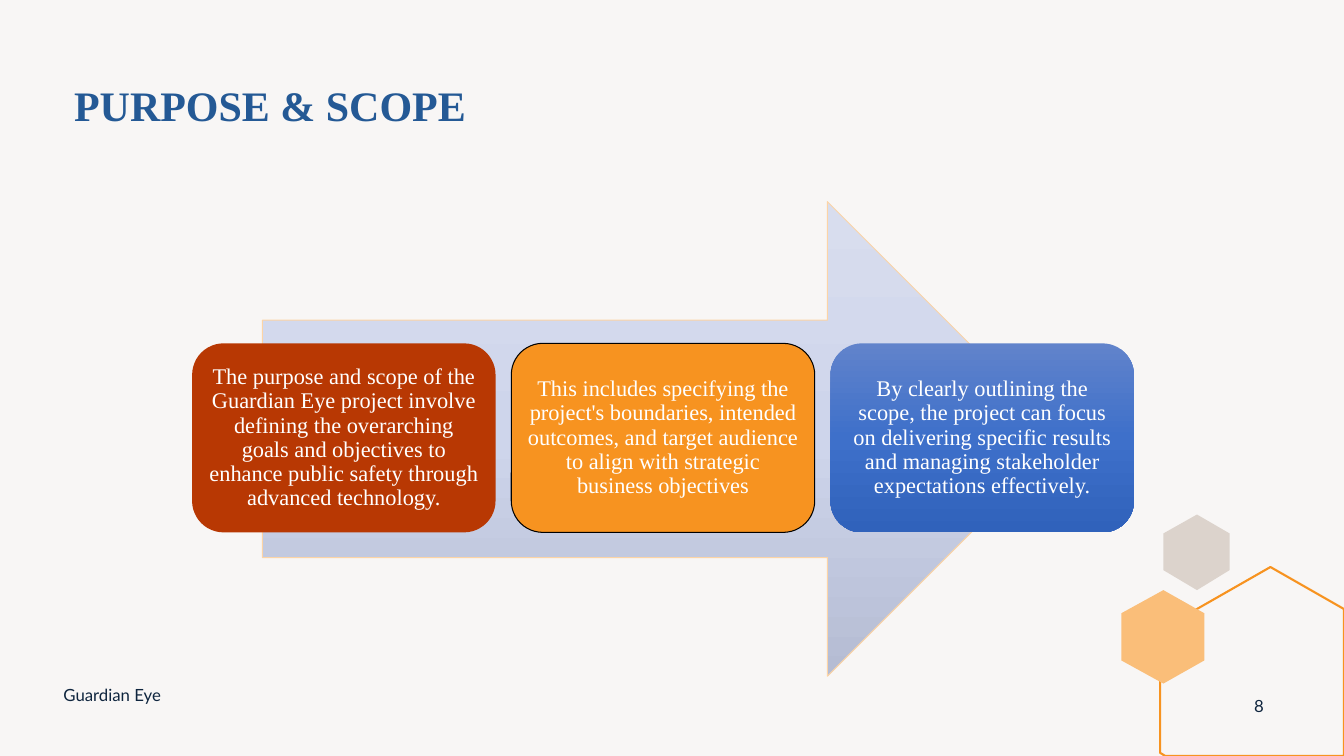
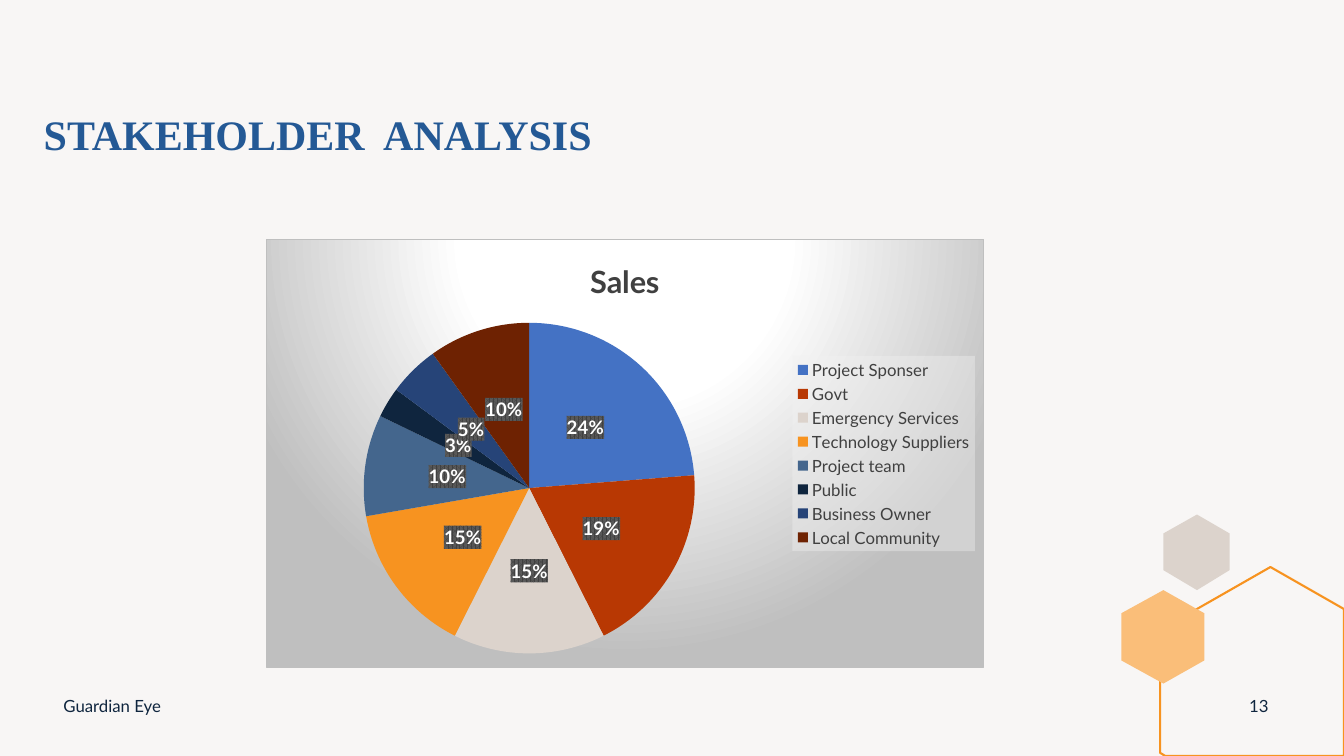
from pptx import Presentation
from pptx.chart.data import CategoryChartData
from pptx.dml.color import RGBColor
from pptx.enum.chart import XL_CHART_TYPE, XL_LABEL_POSITION, XL_LEGEND_POSITION
from pptx.enum.shapes import MSO_SHAPE as SHAPE
from pptx.enum.text import MSO_ANCHOR as ANCHOR, MSO_AUTO_SIZE as AUTO_SIZE, PP_ALIGN as ALIGN
from pptx.oxml import parse_xml
from pptx.oxml.ns import nsdecls, qn
from pptx.util import Pt

PX = 9525  # EMU in one px, 96 px to the inch
rgb = RGBColor.from_string

BACKGROUND, SAND, ORANGE, PALE_ORANGE = "F8F6F5", "DCD3CC", "F79320", "FABE79"
RUST, NAVY, TITLE_BLUE, WHITE = "B83803", "0F253E", "245995", "FFFFFF"
DARK_GREY, SILVER = "404040", "BFBFBF"

TITLE_FONT = {"name": "Times New Roman", "size": Pt(30), "bold": True, "colour": TITLE_BLUE}
FOOTER_FONT = {"name": "Lato", "size": Pt(12), "colour": NAVY}
BOX_FONT = {"name": "Times New Roman", "size": Pt(16), "colour": WHITE}
LEGEND_FONT = {"name": "Lato", "size": Pt(12), "colour": DARK_GREY}
CHART_TITLE_FONT = {"name": "Lato", "size": Pt(22), "bold": True, "colour": DARK_GREY}
LABEL_FONT = {"name": "Lato", "size": Pt(13.3), "bold": True, "colour": WHITE}


def set_values(target, values):
    """Set each attribute; 'colour' is the hex colour of a font."""
    for name, value in values.items():
        if name == "colour":
            target.color.rgb = rgb(value)
        else:
            setattr(target, name, value)


def gradient_xml(stops, direction):
    stop_xml = "".join(f'<a:gs pos="{position * 1000}"><a:srgbClr val="{colour}"/></a:gs>'
                       for position, colour in stops)
    return f'<a:gradFill {nsdecls("a")}><a:gsLst>{stop_xml}</a:gsLst>{direction}</a:gradFill>'


presentation = Presentation()
presentation.slide_width, presentation.slide_height = 1280 * PX, 720 * PX
background = presentation.slide_master.background.fill
background.solid()
background.fore_color.rgb = rgb(BACKGROUND)

# Shared corner outlines: points, fill, line
HEXAGONS = [
    ([(1140, 490), (1171, 508), (1171, 543), (1140, 562), (1108, 543), (1108, 508)], SAND, None),
    ([(1210, 540), (1280, 580), (1280, 720), (1110, 720), (1105, 717), (1105, 600)], None, ORANGE),
    ([(1108, 562), (1147, 584), (1147, 629), (1108, 651), (1068, 629), (1068, 584)], PALE_ORANGE, None),
]
# Title, title box, line spacing, footer top, page number
SLIDES = [
    ("PURPOSE & SCOPE", (61, 76, 1143, 149), 0.9, 643, "8"),
    ("STAKEHOLDER  ANALYSIS", (32, 99, 700, 58), 1.0, 653, "13"),
]

for title_text, title_box, line_spacing, footer_top, page_number in SLIDES:
    slide = presentation.slides.add_slide(presentation.slide_layouts[5])

    # Corner hexagons
    for points, fill_colour, line_colour in HEXAGONS:
        builder = slide.shapes.build_freeform(*points[0], scale=PX)
        builder.add_line_segments(points[1:], close=True)
        hexagon = builder.convert_to_shape()
        hexagon.shadow.inherit = False
        if fill_colour:
            hexagon.fill.solid()
            hexagon.fill.fore_color.rgb = rgb(fill_colour)
            hexagon.line.fill.background()
        else:
            hexagon.fill.background()
            hexagon.line.color.rgb = rgb(line_colour)
            hexagon.line.width = Pt(1.5)

    # Title
    title = slide.shapes.title
    title.left, title.top, title.width, title.height = [length * PX for length in title_box]
    title.text_frame.text = title_text
    set_values(title.text_frame, {"vertical_anchor": ANCHOR.TOP, "auto_size": AUTO_SIZE.NONE,
                                  "word_wrap": True})
    paragraph = title.text_frame.paragraphs[0]
    set_values(paragraph, {"alignment": ALIGN.LEFT, "line_spacing": line_spacing})
    set_values(paragraph.runs[0].font, TITLE_FONT)

    # Footer and page number
    for text, left, top, width, alignment in [
        ("Guardian Eye", 51, footer_top, 432, ALIGN.LEFT),
        (page_number, 1175, 653, 48, ALIGN.CENTER),
    ]:
        footer = slide.shapes.add_textbox(left * PX, top * PX, width * PX, 38 * PX)
        set_values(footer.text_frame, {"text": text, "word_wrap": True,
                                       "vertical_anchor": ANCHOR.MIDDLE})
        paragraph = footer.text_frame.paragraphs[0]
        paragraph.alignment = alignment
        set_values(paragraph.runs[0].font, FOOTER_FONT)

scope_slide, stakeholder_slide = presentation.slides

# Arrow behind three boxes: preset, box, fill or gradient stops, line, text
BOX_TEXTS = [
    "The purpose and scope of the Guardian Eye project involve defining the overarching goals "
    "and objectives to enhance public safety through advanced technology.",
    "This includes specifying the project's boundaries, intended outcomes, and target audience "
    "to align with strategic business objectives",
    "By clearly outlining the scope, the project can focus on delivering specific results and "
    "managing stakeholder expectations effectively.",
]
ARROW_STOPS = [(0, "D8DDEE"), (50, "CED5EB"), (100, "B5BCD3")]
BLUE_STOPS = [(0, "6183CB"), (50, "3E70CA"), (100, "3062BB")]
BOX_STYLES = [(RUST, None), (ORANGE, "000000"), (BLUE_STOPS, None)]
diagram = [(SHAPE.RIGHT_ARROW, (250, 192, 764, 452), ARROW_STOPS, "FCD4A6", None)]
for index, (text, (fill, line_colour)) in enumerate(zip(BOX_TEXTS, BOX_STYLES)):
    diagram.append((SHAPE.ROUNDED_RECTANGLE, (183 + 304 * index, 327, 289, 180),
                    fill, line_colour, text))

for preset, box, fill, line_colour, text in diagram:
    shape = scope_slide.shapes.add_shape(preset, *[length * PX for length in box])
    shape.shadow.inherit = False
    if isinstance(fill, str):
        shape.fill.solid()
        shape.fill.fore_color.rgb = rgb(fill)
    else:
        geometry = shape._element.spPr.find(qn("a:prstGeom"))
        geometry.addnext(parse_xml(gradient_xml(fill, '<a:lin ang="5400000" scaled="0"/>')))
    if line_colour:
        shape.line.color.rgb = rgb(line_colour)
        shape.line.width = Pt(0.75)
    else:
        shape.line.fill.background()
    if text:
        frame = shape.text_frame
        set_values(frame, {"text": text, "word_wrap": True, "vertical_anchor": ANCHOR.MIDDLE})
        set_values(frame, {f"margin_{side}": 7 * PX for side in ("left", "top", "right", "bottom")})
        paragraph = frame.paragraphs[0]
        set_values(paragraph, {"alignment": ALIGN.CENTER, "line_spacing": 0.9})
        set_values(paragraph.runs[0].font, BOX_FONT)

# Stakeholder pie chart
STAKEHOLDERS = [
    ("Project Sponser", 24, "4472C4"),
    ("Govt", 19, RUST),
    ("Emergency Services", 15, SAND),
    ("Technology Suppliers", 15, ORANGE),
    ("Project team", 10, "44668D"),
    ("Public", 3, NAVY),
    ("Business Owner", 5, "264478"),
    ("Local Community", 10, "6E2202"),
]
chart_data = CategoryChartData()
chart_data.categories = [name for name, value, colour in STAKEHOLDERS]
chart_data.add_series("Sales", [value for name, value, colour in STAKEHOLDERS])
chart = stakeholder_slide.shapes.add_chart(
    XL_CHART_TYPE.PIE, 253 * PX, 228 * PX, 684 * PX, 408 * PX, chart_data).chart
set_values(chart.font, {"name": "Lato", "size": Pt(10), "colour": "000000"})

chart.has_title = True
chart.chart_title.text_frame.text = "Sales"
set_values(chart.chart_title.text_frame.paragraphs[0].runs[0].font, CHART_TITLE_FONT)

chart.has_legend = True
set_values(chart.legend, {"position": XL_LEGEND_POSITION.RIGHT, "include_in_layout": False})
set_values(chart.legend.font, LEGEND_FONT)

plot = chart.plots[0]
plot.vary_by_categories = True
for index, (name, value, colour) in enumerate(STAKEHOLDERS):
    point_fill = plot.series[0].points[index].format.fill
    point_fill.solid()
    point_fill.fore_color.rgb = rgb(colour)

labels = plot.series[0].data_labels
set_values(labels, {"show_percentage": True, "show_value": False, "number_format": "0%",
                    "number_format_is_linked": False, "position": XL_LABEL_POSITION.CENTER})
set_values(labels.font, LABEL_FONT)

# Backgrounds of chart, legend and labels, each placed before the text properties
chart_fill = gradient_xml(
    [(0, WHITE), (39, WHITE), (100, SILVER)],
    '<a:path path="circle"><a:fillToRect l="50000" t="-80000" r="50000" b="180000"/></a:path>')
chart_border = f'<a:ln w="9525"><a:solidFill><a:srgbClr val="{SILVER}"/></a:solidFill></a:ln>'
legend_fill = '<a:solidFill><a:srgbClr val="F2F2F2"><a:alpha val="39000"/></a:srgbClr></a:solidFill>'
label_fill = (f'<a:pattFill prst="pct75"><a:fgClr><a:srgbClr val="{DARK_GREY}"/></a:fgClr>'
              '<a:bgClr><a:srgbClr val="595959"/></a:bgClr></a:pattFill>')
for element, content in [
    (chart._chartSpace, chart_fill + chart_border),
    (chart.legend._element, legend_fill),
    (labels._element, label_fill),
]:
    properties = parse_xml(f'<c:spPr {nsdecls("c", "a")}>{content}</c:spPr>')
    element.find(qn("c:txPr")).addprevious(properties)

presentation.save("out.pptx")
